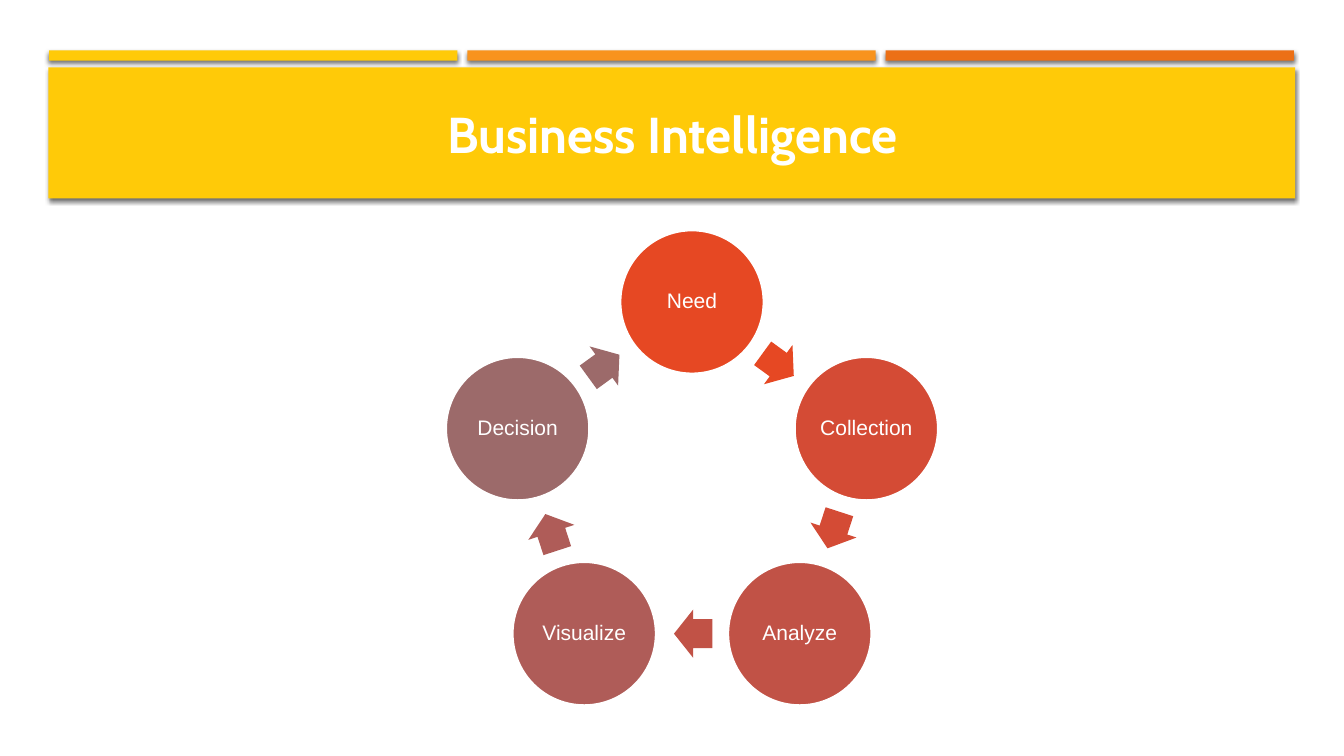
from math import cos, pi, radians, sin

from lxml.etree import SubElement
from pptx import Presentation
from pptx.dml.color import RGBColor
from pptx.enum.shapes import MSO_SHAPE
from pptx.enum.text import MSO_ANCHOR, PP_ALIGN
from pptx.oxml.ns import qn
from pptx.util import Cm, Pt

COLORS = {
    "white": "FFFFFF",
    "black": "000000",
    "yellow": "FFCA08",
    "amber": "F8931D",
    "orange": "EC7016",
    "need": "E64823",
    "collection": "D44B35",
    "analyze": "C15246",
    "visualize": "AF5C58",
    "decision": "9C6A6A",
}
STAGES = ["Need", "Collection", "Analyze", "Visualize", "Decision"]

# Cycle geometry in centimetres
CENTER_X, CENTER_Y, RADIUS = 17.44, 12.23, 4.62
DIAMETER = 3.63
ARROW_W, ARROW_H = 0.97, 1.22
ARROW_SETBACK = 0.03


def rgb(name):
    return RGBColor.from_string(COLORS[name])


def add_filled(slide, kind, x, y, w, h, color):
    sp = slide.shapes.add_shape(kind, Cm(x), Cm(y), Cm(w), Cm(h))
    sp.shadow.inherit = False
    sp.fill.solid()
    sp.fill.fore_color.rgb = rgb(color)
    sp.line.fill.background()
    return sp


def add_bar(slide, x, y, w, h, color):
    """Add a rectangle with a soft shadow below it."""
    sp = add_filled(slide, MSO_SHAPE.RECTANGLE, x, y, w, h, color)
    effects = sp.element.spPr.find(qn("a:effectLst"))
    shadow = SubElement(effects, qn("a:outerShdw"), blurRad=str(Pt(3)),
                        dist=str(Pt(2)), dir="5400000", rotWithShape="0")
    tint = SubElement(shadow, qn("a:srgbClr"), val=COLORS["black"])
    SubElement(tint, qn("a:alpha"), val="55000")


def format_text(sp, text, font, size, inset, bold=False):
    tf = sp.text_frame
    tf.word_wrap = True
    tf.vertical_anchor = MSO_ANCHOR.MIDDLE
    tf.margin_left = tf.margin_right = Cm(inset)
    tf.margin_top = tf.margin_bottom = Cm(inset)
    tf.text = text
    p = tf.paragraphs[0]
    p.alignment = PP_ALIGN.CENTER
    p.font.name = font
    p.font.size = Pt(size)
    p.font.bold = bold
    p.font.color.rgb = rgb("white")
    return p


def add_title(slide, text):
    title = slide.shapes.title
    title.left, title.top = Cm(1.63), Cm(1.96)
    title.width, title.height = Cm(30.63), Cm(2.82)
    format_text(title, text, "Cabin", 36, 0, bold=True)
    slide.shapes.element.append(title.element)  # in front of the band


def ring_point(degrees, radius):
    """Return the point at a clockwise angle from the top of the cycle."""
    a = radians(degrees)
    return CENTER_X + radius * sin(a), CENTER_Y - radius * cos(a)


def add_stage(slide, text, angle):
    x, y = ring_point(angle, RADIUS)
    sp = add_filled(slide, MSO_SHAPE.OVAL, x - DIAMETER / 2, y - DIAMETER / 2,
                    DIAMETER, DIAMETER, text.lower())
    sp.line.color.rgb = rgb("white")
    sp.line.width = Pt(2)
    p = format_text(sp, text, "Arial", 15, 0.05)
    p.line_spacing = 0.9


def add_cycle_arrow(slide, angle, step, color):
    x, y = ring_point(angle, RADIUS * cos(radians(step / 2)))
    x -= ARROW_SETBACK * cos(radians(angle))
    y -= ARROW_SETBACK * sin(radians(angle))
    sp = add_filled(slide, MSO_SHAPE.RIGHT_ARROW, x - ARROW_W / 2,
                    y - ARROW_H / 2, ARROW_W, ARROW_H, color)
    sp.adjustments[0] = 0.6
    sp.adjustments[1] = 0.5
    sp.rotation = angle


def main():
    prs = Presentation()
    prs.slide_width, prs.slide_height = Cm(33.87), Cm(19.05)
    slide = prs.slides.add_slide(prs.slide_layouts[5])

    for i, color in enumerate(["yellow", "amber", "orange"]):
        add_bar(slide, 1.24 + i * 10.54, 1.27, 10.29, 0.26, color)
    add_bar(slide, 1.22, 1.7, 31.42, 3.3, "yellow")
    add_title(slide, "Business Intelligence")

    step = 360 / len(STAGES)
    for i, stage in enumerate(STAGES):
        add_stage(slide, stage, i * step)
        add_cycle_arrow(slide, (i + 0.5) * step, step, stage.lower())

    prs.save("out.pptx")


if __name__ == "__main__":
    main()
